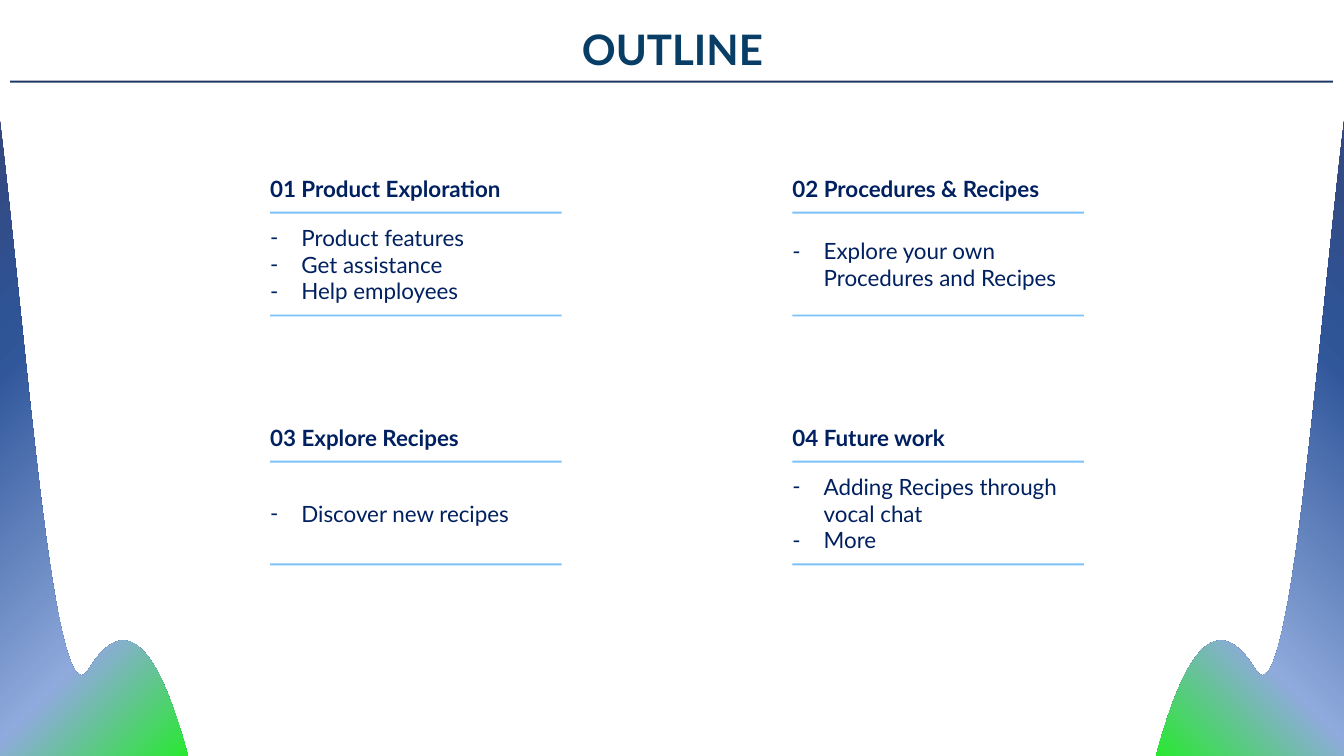
from lxml import etree
from pptx import Presentation
from pptx.dml.color import RGBColor
from pptx.enum.shapes import MSO_SHAPE
from pptx.enum.text import MSO_ANCHOR, MSO_AUTO_SIZE, PP_ALIGN
from pptx.oxml.ns import qn
from pptx.util import Inches, Pt

RECTANGLE = MSO_SHAPE.RECTANGLE
TOP, MIDDLE = MSO_ANCHOR.TOP, MSO_ANCHOR.MIDDLE
GROW = MSO_AUTO_SIZE.SHAPE_TO_FIT_TEXT
CENTER = PP_ALIGN.CENTER

FONT = "Lato"
SLIDE_WIDTH = 13.33
COLORS = {"title": "083D65", "text": "002060", "title_rule": "203864", "rule": "7AC2F9"}
WAVE_STOPS = [(0, "393762"), (42, "2F5597"), (44, "31579B"), (77, "8FAADC"), (100, "0CFA00")]


def add_text(shapes, lines, left, top, width, height, size, color, bold=False, anchor=MIDDLE):
    box = shapes.add_textbox(Inches(left), Inches(top), Inches(width), Inches(height))
    frame = box.text_frame
    frame.margin_left = frame.margin_right = frame.margin_top = frame.margin_bottom = 0
    frame.word_wrap = True
    frame.auto_size = GROW
    frame.vertical_anchor = anchor
    frame.text = "\n".join(lines)
    for para in frame.paragraphs:
        for span in para.runs:
            span.font.name = FONT
            span.font.size = Pt(size)
            span.font.bold = bold
            span.font.color.rgb = RGBColor.from_string(COLORS[color])
    return frame


def add_rule(shapes, left, top, width, color):
    rule = shapes.add_shape(RECTANGLE, Inches(left), Inches(top), Inches(width), Inches(0.02))
    rule.shadow.inherit = False
    rule.fill.solid()
    rule.fill.fore_color.rgb = RGBColor.from_string(COLORS[color])
    rule.line.fill.background()


deck = Presentation()
deck.slide_width = Inches(SLIDE_WIDTH)
deck.slide_height = Inches(7.5)
page = deck.slides.add_slide(deck.slide_layouts[6])

title = add_text(page.shapes, ["OUTLINE"], 2.99, 0.23, 7.36, 0.5, 30, "title", True, TOP)
title.paragraphs[0].alignment = CENTER
add_rule(page.shapes, 0.1, 0.8, 13.12, "title_rule")

SECTIONS = [
    ("01 Product Exploration", 3.2, ["Product features", "Get assistance", "Help employees"], 3),
    ("02 Procedures & Recipes", 2.79, ["Explore your own Procedures and Recipes"], 2),
    ("03 Explore Recipes", 2.79, ["Discover new recipes"], 1),
    ("04 Future work", 2.79, ["Adding Recipes through vocal chat", "More"], 3),
]
COLUMN_WIDTH, LINE_HEIGHT = 2.89, 0.27

for index, (heading, heading_width, items, line_count) in enumerate(SECTIONS):
    row, column = divmod(index, 2)
    left = 2.68 + column * 5.18
    top = 1.74 + row * 2.47
    section = page.shapes.add_group_shape().shapes
    add_text(section, [heading], left, top, heading_width, LINE_HEIGHT, 16, "text", True)
    for offset in (1.38, 0.36):
        add_rule(section, left, top + offset, COLUMN_WIDTH, "rule")
    height = line_count * LINE_HEIGHT
    body = add_text(section, items, left, top + 0.88 - height / 2, COLUMN_WIDTH, height, 16, "text")
    for para in body.paragraphs:
        properties = para._p.get_or_add_pPr()
        properties.set("marL", str(Inches(0.31)))
        properties.set("indent", str(-Inches(0.31)))
        bullet_color = etree.SubElement(properties, qn("a:buClr"))
        etree.SubElement(bullet_color, qn("a:srgbClr"), val=COLORS["text"])
        etree.SubElement(properties, qn("a:buFont"), typeface=FONT)
        etree.SubElement(properties, qn("a:buChar"), char="-")

WAVE_START = (-0.37, -0.5)
WAVE_SEGMENTS = [
    [(0.06, -0.53), (0.39, 7.46), (0.88, 6.64)],
    [(1.33, 5.9), (1.69, 6.69), (1.97, 7.93)],
    [(1.97, 7.95)],
    [(-0.68, 7.95)],
    [(-0.68, 7.61)],
    [(-0.68, 5.97), (-0.68, 3.83), (-0.68, 1.01)],
    [(-0.57, -0.05), (-0.47, -0.49), WAVE_START],
]

for mirrored, angle in ((False, 315), (True, 225)):
    start, *segments = [
        [(Inches(SLIDE_WIDTH - x if mirrored else x), Inches(y)) for x, y in segment]
        for segment in [[WAVE_START], *WAVE_SEGMENTS]
    ]
    builder = page.shapes.build_freeform(*start[0])
    builder.add_line_segments([segment[-1] for segment in segments], close=True)
    wave = builder.convert_to_shape()
    wave.shadow.inherit = False
    wave.line.fill.background()
    for line, segment in zip(list(wave.element.iter(qn("a:lnTo"))), segments):
        if len(segment) == 3:
            curve = etree.Element(qn("a:cubicBezTo"))
            for x, y in segment:
                etree.SubElement(curve, qn("a:pt"), x=str(x - wave.left), y=str(y - wave.top))
            line.getparent().replace(line, curve)
    wave.fill.gradient()
    wave.fill.gradient_angle = angle
    stops = wave.element.find(".//" + qn("a:gsLst"))
    stops.clear()
    for position, color in WAVE_STOPS:
        stop = etree.SubElement(stops, qn("a:gs"), pos=str(position * 1000))
        etree.SubElement(stop, qn("a:srgbClr"), val=color)

deck.save("out.pptx")
